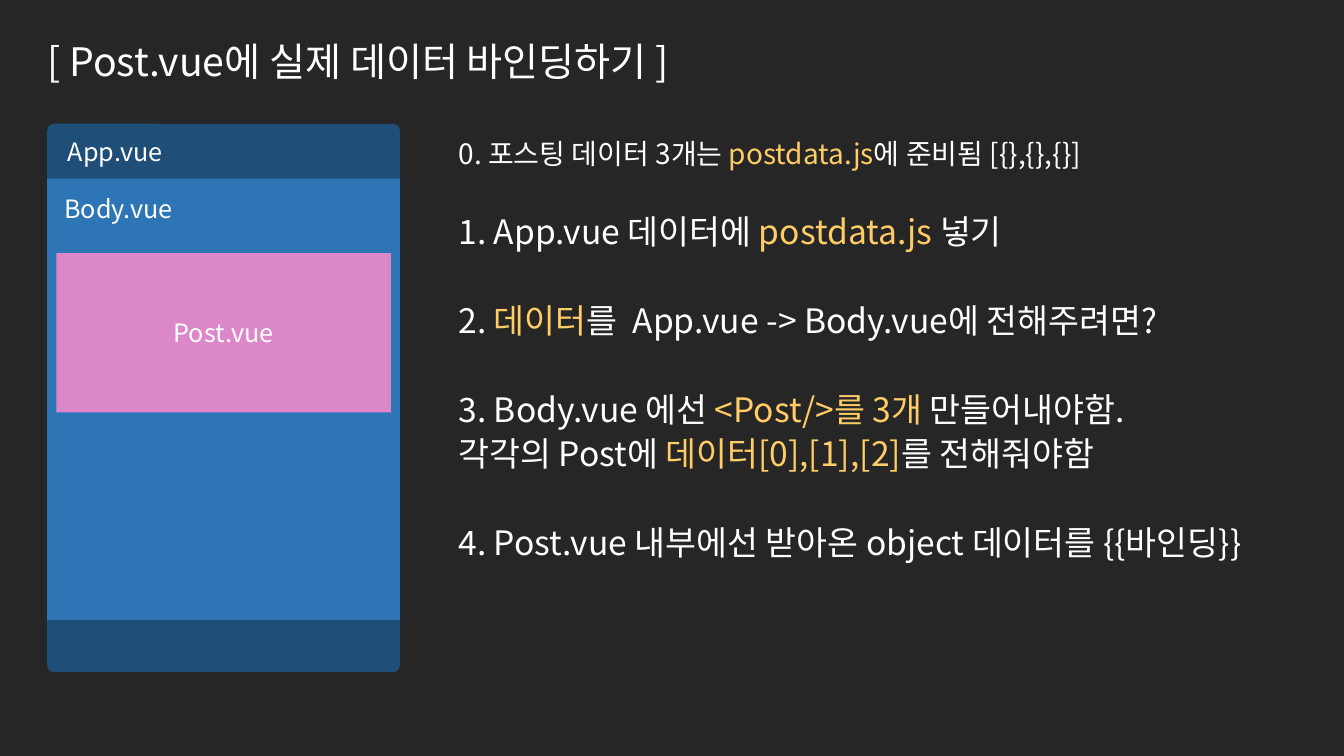
from dataclasses import dataclass

from lxml import etree
from pptx import Presentation
from pptx.dml.color import RGBColor
from pptx.enum.shapes import MSO_SHAPE
from pptx.enum.text import MSO_ANCHOR, MSO_AUTO_SIZE, PP_ALIGN
from pptx.oxml.ns import qn
from pptx.util import Cm, Pt

ROUND = MSO_SHAPE.ROUNDED_RECTANGLE
TOP, MIDDLE = MSO_ANCHOR.TOP, MSO_ANCHOR.MIDDLE
LEFT, CENTER = PP_ALIGN.LEFT, PP_ALIGN.CENTER
NO_FIT = MSO_AUTO_SIZE.NONE


@dataclass(frozen=True)
class Theme:
    font: str = "Noto Sans CJK KR"
    back: str = "262626"
    text: str = "FFFFFF"
    accent: str = "FFCC66"
    app: str = "1F4E79"
    body: str = "2E75B6"
    post: str = "DD87CB"
    title: int = 28
    step: int = 24
    intro: int = 20
    label: int = 18
    line: float = 1.1


@dataclass(frozen=True)
class Box:
    left: float
    top: float
    width: float
    height: float

    def lengths(self) -> tuple:
        return Cm(self.left), Cm(self.top), Cm(self.width), Cm(self.height)


@dataclass(frozen=True)
class Panel:
    box: Box
    fill: str
    radius: float = 0
    text: str = ""


@dataclass(frozen=True)
class Label:
    box: Box
    text: str


@dataclass(frozen=True)
class Step:
    text: str  # parts between bars take the accent colour
    size: int
    gap: float = 0  # points before the paragraph


THEME = Theme()

TITLE = Label(Box(0.94, 0.69, 21.21, 1.5), "[ Post.vue에 실제 데이터 바인딩하기 ]")

# Nested components, from back to front
PARTS = [
    Panel(Box(1.19, 3.12, 8.89, 13.82), THEME.app, 0.019),
    Label(Box(1.42, 3.3, 2.97, 1.02), "App.vue"),
    Panel(Box(1.19, 4.5, 8.89, 11.13), THEME.body),
    Label(Box(1.37, 4.75, 3.23, 1.02), "Body.vue"),
    Panel(Box(1.42, 6.38, 8.43, 4.01), THEME.post, text="Post.vue"),
]

LIST_BOX = Box(11.3, 3.23, 21.56, 11.18)
STEPS = [
    Step("0. 포스팅 데이터 3개는 |postdata.js|에 준비됨 [{},{},{}]", THEME.intro),
    Step("1. App.vue 데이터에 |postdata.js |넣기", THEME.step, 26.5),
    Step("2. |데이터|를  App.vue -> Body.vue에 전해주려면?", THEME.step, 31.7),
    Step("3. Body.vue 에선 |<Post/>를 3개| 만들어내야함.", THEME.step, 31.7),
    Step("각각의 Post에 |데이터[0],[1],[2]|를 전해줘야함", THEME.step),
    Step("4. Post.vue 내부에선 받아온 object 데이터를 {{바인딩}}", THEME.step, 31.7),
]


def style(run, size: int, color: str = THEME.text) -> None:
    run.font.size = Pt(size)
    run.font.color.rgb = RGBColor.from_string(color)
    run.font.name = THEME.font
    asian = etree.SubElement(run.font._element, qn("a:ea"))
    asian.set("typeface", THEME.font)


def place(shape, box: Box) -> None:
    shape.left, shape.top, shape.width, shape.height = box.lengths()


def write(frame, text: str, size: int, align) -> None:
    frame.text = text
    para = frame.paragraphs[0]
    para.alignment = align
    style(para.runs[0], size)


def set_title(slide) -> None:
    shape = slide.shapes.title
    place(shape, TITLE.box)
    frame = shape.text_frame
    frame.auto_size, frame.vertical_anchor = NO_FIT, TOP
    write(frame, TITLE.text, THEME.title, LEFT)
    frame.paragraphs[0].line_spacing = THEME.line


def draw_panel(slide, panel: Panel) -> None:
    shape = slide.shapes.add_shape(ROUND, *panel.box.lengths())
    shape.adjustments[0] = panel.radius
    shape.shadow.inherit = False
    shape.fill.solid()
    shape.fill.fore_color.rgb = RGBColor.from_string(panel.fill)
    shape.line.fill.background()
    if panel.text:
        shape.text_frame.vertical_anchor = MIDDLE
        write(shape.text_frame, panel.text, THEME.label, CENTER)


def draw_label(slide, label: Label) -> None:
    frame = slide.shapes.add_textbox(*label.box.lengths()).text_frame
    frame.word_wrap = False
    write(frame, label.text, THEME.label, CENTER)


def add_step(para, step: Step) -> None:
    para.alignment = LEFT
    para.line_spacing = THEME.line
    para.space_before, para.space_after = Pt(step.gap), Pt(0)
    props = para._p.get_or_add_pPr()
    props.set("marL", "0")
    props.set("indent", "0")
    etree.SubElement(props, qn("a:buNone"))
    for i, part in enumerate(step.text.split("|")):
        run = para.add_run()
        run.text = part
        style(run, step.size, THEME.accent if i % 2 else THEME.text)


def set_list(slide) -> None:
    shape = slide.placeholders[1]
    place(shape, LIST_BOX)
    frame = shape.text_frame
    frame.auto_size, frame.vertical_anchor = NO_FIT, TOP
    for i, step in enumerate(STEPS):
        add_step(frame.add_paragraph() if i else frame.paragraphs[0], step)


def main() -> None:
    deck = Presentation()
    deck.slide_width, deck.slide_height = Cm(33.87), Cm(19.05)
    slide = deck.slides.add_slide(deck.slide_layouts[1])
    slide.background.fill.solid()
    slide.background.fill.fore_color.rgb = RGBColor.from_string(THEME.back)

    set_title(slide)
    for part in PARTS:
        if isinstance(part, Panel):
            draw_panel(slide, part)
        else:
            draw_label(slide, part)
    set_list(slide)
    deck.save("out.pptx")


if __name__ == "__main__":
    main()
